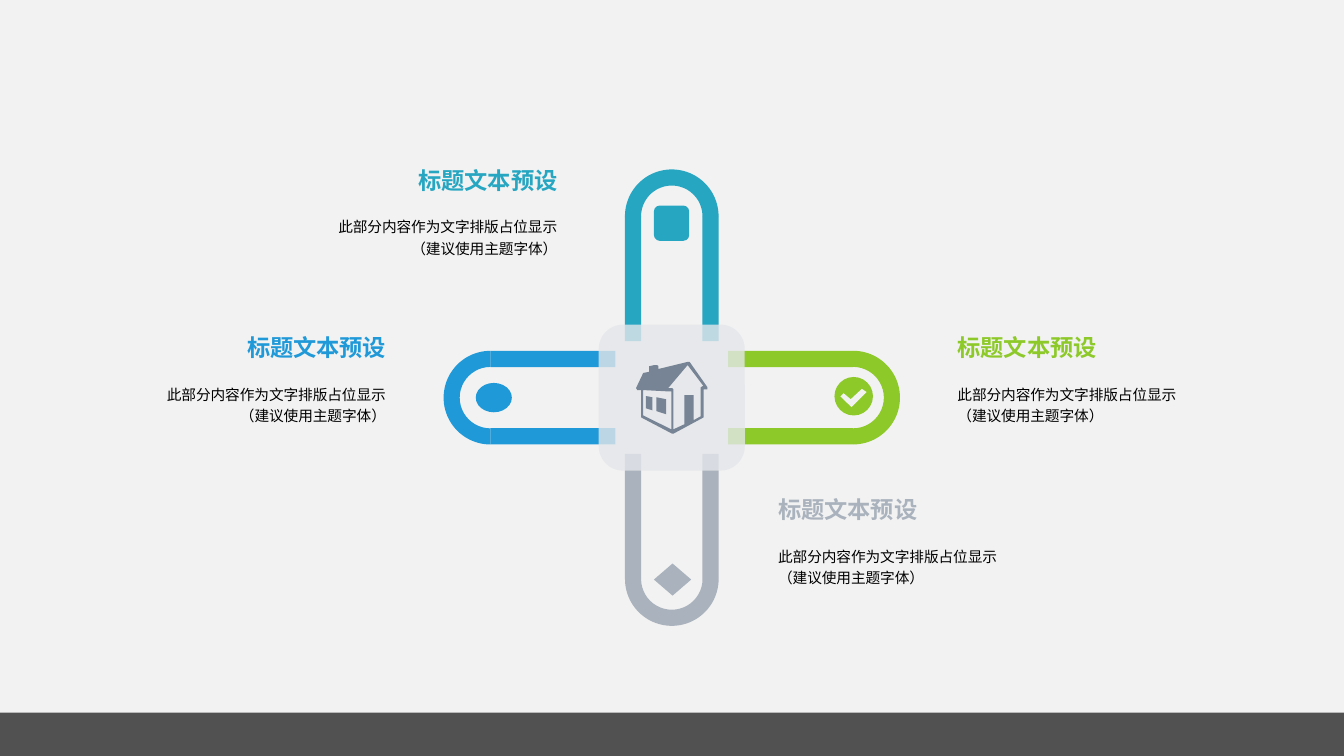
"""Build a slide with a four-armed cross, a house and four captions."""
from dataclasses import dataclass
from typing import Any

from lxml.etree import SubElement
from pptx import Presentation
from pptx.dml.color import RGBColor
from pptx.enum.shapes import MSO_SHAPE
from pptx.enum.text import MSO_ANCHOR, PP_ALIGN
from pptx.oxml.ns import qn
from pptx.util import Cm, Pt

WIDE, HIGH = 33.87, 19.05
MID_X, MID_Y = 16.93, 10.02
REACH, RING, THICK, BAR = 4.57, 2.36, 0.41, 3.15
CORE = 3.68
PAPER = "F2F2F2"
TITLE = "标题文本预设"
LINES = ["此部分内容作为文字排版占位显示", "（建议使用主题字体）"]
HEAD = {"name": "Calibri", "size": Pt(16.6), "bold": True}
BODY = {"name": "Calibri", "size": Pt(10.5)}
FRAME = {"word_wrap": True, "margin_left": Cm(0.2), "margin_right": Cm(0.2),
         "margin_top": 0, "margin_bottom": 0}

Point = tuple[int, int]
Box = tuple[float, float, float, float]


@dataclass
class Arm:
    """One arm of the cross with its icon and caption."""
    dx: int
    dy: int
    turn: int
    hue: str
    icon: MSO_SHAPE
    spot: Box
    left: float
    top: float
    align: PP_ALIGN


ARMS = [
    Arm(-1, 0, 270, "2099D8", MSO_SHAPE.OVAL, (11.99, 9.65, 0.91, 0.74),
        3.1, 8.48, PP_ALIGN.RIGHT),
    Arm(1, 0, 90, "8DC928", MSO_SHAPE.OVAL, (21.03, 9.5, 0.97, 0.97),
        23.93, 8.48, PP_ALIGN.LEFT),
    Arm(0, -1, 0, "27A6C2", MSO_SHAPE.ROUNDED_RECTANGLE,
        (16.48, 5.18, 0.89, 0.89), 7.42, 4.27, PP_ALIGN.RIGHT),
    Arm(0, 1, 180, "AAB2BD", MSO_SHAPE.DIAMOND, (16.48, 14.2, 0.94, 0.81),
        19.41, 12.57, PP_ALIGN.LEFT),
]
TICK = [[(15, 49), (23, 41), (41, 56), (69, 30), (81, 38), (43, 76)]]
HOUSE = [
    [(130, 0), (135, 0), (180, 64), (180, 69), (170, 69), (170, 140),
     (94, 181), (91, 181), (13, 140), (13, 71), (3, 71), (0, 66), (18, 28),
     (33, 25), (33, 11), (46, 8), (53, 8), (56, 10), (56, 18)],
    [(18, 71), (18, 135), (89, 170), (89, 74), (74, 74)],
    [(130, 8), (81, 66), (91, 66), (94, 69), (94, 170), (122, 157),
     (122, 84), (145, 84), (145, 147), (163, 137), (163, 64), (168, 61),
     (170, 61)],
    [(51, 89), (76, 94), (76, 132), (51, 124)],
    [(25, 86), (41, 89), (41, 122), (25, 117)],
]


def apply(thing: Any, values: dict[str, Any]) -> None:
    """Set each named value on the thing."""
    for key, value in values.items():
        setattr(thing, key, value)


def paint(thing: Any, hue: str, alpha: int = 100) -> None:
    """Fill a shape or background with one colour."""
    thing.fill.solid()
    thing.fill.fore_color.rgb = RGBColor.from_string(hue)
    if alpha < 100:
        tint = thing.fill._xPr.find(".//" + qn("a:srgbClr"))
        SubElement(tint, qn("a:alpha"), val=str(alpha * 1000))


def draw(slide: Any, kind: MSO_SHAPE, box: Box, hue: str,
         alpha: int = 100) -> Any:
    """Add a flat preset shape."""
    shape = slide.shapes.add_shape(kind, *map(Cm, box))
    shape.shadow.inherit = False
    shape.line.fill.background()
    paint(shape, hue, alpha)
    return shape


def trace(slide: Any, loops: list[list[Point]], left: float, top: float,
          hue: str) -> None:
    """Add a flat outline of loops given in hundredths of a centimetre."""
    pen = slide.shapes.build_freeform(*loops[0][0], scale=Cm(0.01))
    for turn, loop in enumerate(loops):
        if turn:
            pen.move_to(*loop[0])
        pen.add_line_segments(loop[1:], close=True)
    shape = pen.convert_to_shape(Cm(left), Cm(top))
    shape.shadow.inherit = False
    shape.line.fill.background()
    paint(shape, hue)


def around(x: float, y: float, wide: float, high: float) -> Box:
    """Return the box centred on a point."""
    return x - wide / 2, y - high / 2, wide, high


def write(slide: Any, box: Box, lines: list[str], style: dict[str, Any],
          hue: str, align: PP_ALIGN, space: float, anchor: MSO_ANCHOR) -> None:
    """Add a text box with one paragraph of broken lines."""
    frame = slide.shapes.add_textbox(*map(Cm, box)).text_frame
    apply(frame, FRAME | {"vertical_anchor": anchor})
    para = frame.paragraphs[0]
    apply(para, {"alignment": align, "line_spacing": space})
    for row, line in enumerate(lines):
        if row:
            para.add_line_break()
        run = para.add_run()
        run.text = line
        apply(run.font, style)
        run.font.color.rgb = RGBColor.from_string(hue)
    for gap in para._p.findall(qn("a:br")):
        SubElement(gap, qn("a:rPr"), sz=str(int(style["size"].pt * 100)))


def label(slide: Any, arm: Arm) -> None:
    """Add the title and body of an arm."""
    write(slide, (arm.left, arm.top, 6.83, 0.69), [TITLE], HEAD, arm.hue,
          arm.align, 0.9, MSO_ANCHOR.TOP)
    write(slide, (arm.left, arm.top + 0.86, 6.83, 1.63), LINES, BODY,
          "000000", arm.align, 1.2, MSO_ANCHOR.MIDDLE)


def extend(slide: Any, arm: Arm) -> None:
    """Add the round end and both bars of an arm."""
    end = around(MID_X + arm.dx * REACH, MID_Y + arm.dy * REACH, RING, RING)
    arc = draw(slide, MSO_SHAPE.BLOCK_ARC, end, arm.hue)
    arc.rotation = arm.turn
    for slot, value in enumerate((108, 0, 0.172)):
        arc.adjustments[slot] = value
    along, apart = REACH - BAR / 2, (RING - THICK) / 2
    size = (BAR, THICK) if arm.dx else (THICK, BAR)
    for side in (-apart, apart):
        x = MID_X + arm.dx * along + arm.dy * side
        y = MID_Y + arm.dy * along + arm.dx * side
        draw(slide, MSO_SHAPE.RECTANGLE, around(x, y, *size), arm.hue)


def main() -> None:
    """Build and save the slide."""
    deck = Presentation()
    apply(deck, {"slide_width": Cm(WIDE), "slide_height": Cm(HIGH)})
    slide = deck.slides.add_slide(deck.slide_layouts[6])
    paint(slide.background, PAPER)
    draw(slide, MSO_SHAPE.RECTANGLE, (0, 17.96, WIDE, 1.09), "0D0D0D", 70)
    for arm in ARMS:
        label(slide, arm)
        extend(slide, arm)
    draw(slide, MSO_SHAPE.ROUNDED_RECTANGLE,
         around(MID_X, MID_Y, CORE, CORE), "E4E6EA", 80)
    for arm in ARMS:
        draw(slide, arm.icon, arm.spot, arm.hue)
    trace(slide, TICK, 21.03, 9.5, PAPER)
    trace(slide, HOUSE, 16.03, 9.12, "778495")
    deck.save("out.pptx")


if __name__ == "__main__":
    main()
